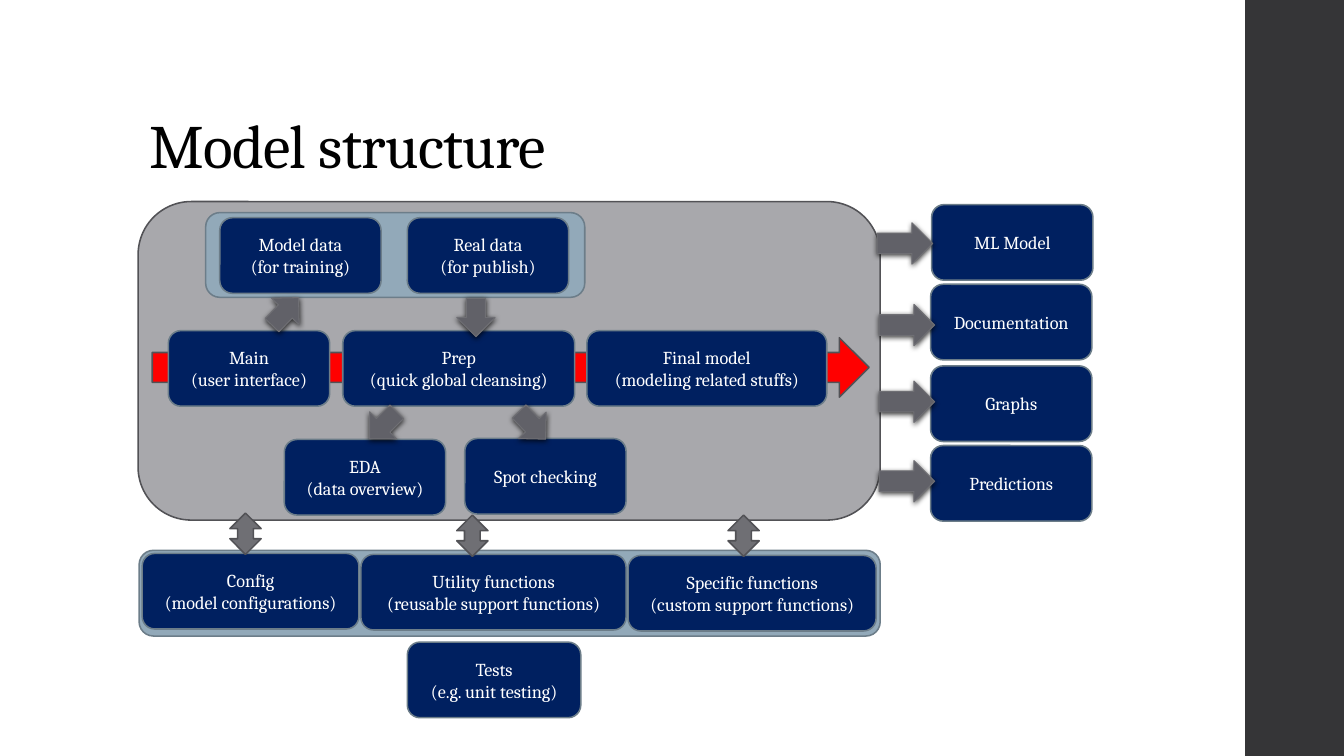
from lxml import etree
from pptx import Presentation
from pptx import util as u
from pptx.dml.color import RGBColor
from pptx.enum import shapes, text
from pptx.oxml.ns import qn

PX = 9144
FONT = "Cambria"
COLORS = {
    "white": "FFFFFF", "black": "000000", "sidebar": "353537",
    "panel": "A8A8AC", "panel_line": "525256", "flow": "FF0000",
    "box": "002060", "box_line": "6C7D89", "band": "92A9B9",
    "arrow": "616168", "arrow_line": "6F6F74",
}
KIND = shapes.MSO_SHAPE


def color(name):
    return RGBColor.from_string(COLORS[name])


class Deck:
    def __init__(self, width, height):
        self.prs = Presentation()
        self.prs.slide_width = u.Emu(width * PX)
        self.prs.slide_height = u.Emu(height * PX)
        self.slide = self.prs.slides.add_slide(self.prs.slide_layouts[5])

    def title(self, label, x, y, w, h):
        sp = self.slide.shapes.title
        sp.left, sp.top, sp.width, sp.height = (u.Emu(v * PX) for v in (x, y, w, h))
        tf = sp.text_frame
        tf.text = label
        tf.word_wrap = True
        tf.auto_size = text.MSO_AUTO_SIZE.NONE
        tf.vertical_anchor = text.MSO_ANCHOR.BOTTOM
        p = tf.paragraphs[0]
        p.alignment = text.PP_ALIGN.LEFT
        p.line_spacing = 0.9
        p.font.name, p.font.size = FONT, u.Pt(44)
        p.font.color.rgb = color("black")
        p.runs[0].font._element.set("spc", "-50")

    def shape(self, kind, x, y, w, h, fill, line=None, weight=1.1):
        sp = self.slide.shapes.add_shape(kind, *(u.Emu(v * PX) for v in (x, y, w, h)))
        sp.shadow.inherit = False
        sp.fill.solid()
        sp.fill.fore_color.rgb = color(fill)
        if line:
            sp.line.color.rgb = color(line)
            sp.line.width = u.Pt(weight)
        else:
            sp.line.fill.background()
        return sp

    def band(self, x, y, w, h):
        return self.shape(KIND.ROUNDED_RECTANGLE, x, y, w, h, "band", "box_line")

    def box(self, lines, x, y, w=160, h=75):
        sp = self.shape(KIND.ROUNDED_RECTANGLE, x, y, w, h, "box", "box_line")
        tf = sp.text_frame
        tf.word_wrap = True
        tf.vertical_anchor = text.MSO_ANCHOR.MIDDLE
        tf.text = "\n".join(lines)
        for p in tf.paragraphs:
            p.alignment = text.PP_ALIGN.CENTER
            p.font.name, p.font.size = FONT, u.Pt(13)
            p.font.color.rgb = color("white")
        return sp

    def arrow(self, x, y, w=38, h=38, angle=0):
        sp = self.shape(KIND.RIGHT_ARROW, x, y, w, h, "arrow", "arrow_line", 0.75)
        sp.rotation = angle
        effects = sp._element.spPr.find(qn("a:effectLst"))
        shadow = etree.SubElement(effects, qn("a:outerShdw"), blurRad="50800",
                                  dist="15240", dir="5400000", rotWithShape="0")
        tint = etree.SubElement(shadow, qn("a:srgbClr"), val=COLORS["black"])
        etree.SubElement(tint, qn("a:alpha"), val="75000")
        return sp

    def group(self, members):
        return self.slide.shapes.add_group_shape(members)


def main():
    deck = Deck(1333, 750)
    deck.shape(KIND.RECTANGLE, 1235, 0, 98, 750, "sidebar")
    deck.title("Model structure", 138, 40, 1060, 145)
    deck.shape(KIND.ROUNDED_RECTANGLE, 137, 200, 736, 316, "panel", "panel_line")

    flow = [deck.shape(KIND.RIGHT_ARROW, 151, 335, 711, 59, "flow", "panel_line")]
    for lines, x, w in (
        (("Main", "(user interface)"), 167, 160),
        (("Prep", "(quick global cleansing)"), 340, 230),
        (("Final model", "(modeling related stuffs)"), 582, 238),
    ):
        flow.append(deck.box(lines, x, 328, w))
    deck.group(flow)

    deck.box(("EDA", "(data overview)"), 282, 436)
    deck.box(("Spot checking",), 461, 435)
    deck.band(204, 211, 376, 84)
    deck.box(("Model data", "(for training)"), 218, 216)
    deck.box(("Real data", "(for publish)"), 404, 216)
    deck.box(("Tests", "(e.g. unit testing)"), 404, 637, 172)

    outputs = (
        ("ML Model", 924, 203, 870, 221),
        ("Documentation", 923, 282, 872, 302),
        ("Graphs", 923, 363, 872, 378),
        ("Predictions", 923, 442, 872, 457),
    )
    deck.group([deck.box((name,), x, y) for name, x, y, _, _ in outputs])

    support = [deck.band(138, 546, 735, 85)]
    for lines, x, y, w in (
        (("Config", "(model configurations)"), 141, 549, 215),
        (("Specific functions", "(custom support functions)"), 623, 551, 246),
        (("Utility functions", "(reusable support functions)"), 358, 550, 263),
    ):
        support.append(deck.box(lines, x, y, w))
    deck.group(support)

    deck.group([deck.arrow(x, y, 55, 41) for _, _, _, x, y in outputs])

    for x, y, angle in ((509, 403, 46.3), (361, 403, 135.2),
                        (453, 296, 90), (264, 290, 313.9)):
        deck.arrow(x, y, angle=angle)
    for x, y in ((228, 509), (453, 511), (722, 511)):
        deck.shape(KIND.UP_DOWN_ARROW, x, y, 31, 41, "arrow_line", "panel_line")

    deck.prs.save("out.pptx")


if __name__ == "__main__":
    main()
